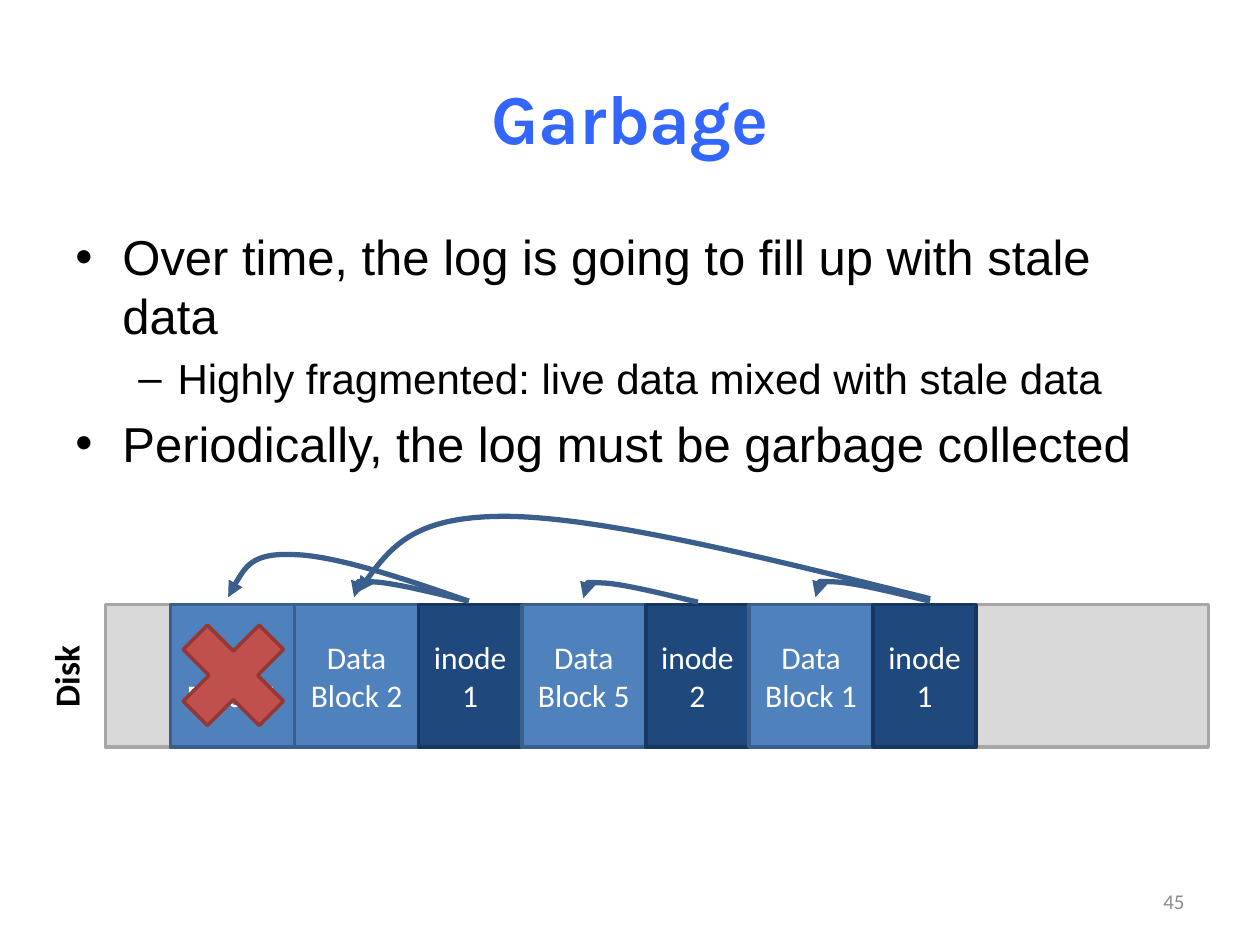
import pptx
import pptx.util
import pptx.dml.color
import pptx.enum.shapes
import pptx.enum.text
import pptx.oxml
import pptx.oxml.ns

Cm = pptx.util.Cm
Pt = pptx.util.Pt
RGB = pptx.dml.color.RGBColor
Kind = pptx.enum.shapes.MSO_SHAPE
Align = pptx.enum.text.PP_ALIGN
Anchor = pptx.enum.text.MSO_ANCHOR
qn = pptx.oxml.ns.qn

BLACK = RGB(0x00, 0x00, 0x00)
WHITE = RGB(0xFF, 0xFF, 0xFF)
TITLE = RGB(0x33, 0x66, 0xFF)
MUTED = RGB(0x8C, 0x8C, 0x8C)
PALE = RGB(0xD9, 0xD9, 0xD9)
GRAY = RGB(0xA6, 0xA6, 0xA6)
BLUE = RGB(0x4F, 0x81, 0xBD)
EDGE = RGB(0x3A, 0x5F, 0x8C)
NAVY = RGB(0x1F, 0x49, 0x7D)
DARK = RGB(0x17, 0x37, 0x5E)
RED = RGB(0xC0, 0x50, 0x4D)
RUST = RGB(0x95, 0x37, 0x35)

deck = pptx.Presentation()
deck.slide_width, deck.slide_height = Cm(25.4), Cm(19.05)
shapes = deck.slides.add_slide(deck.slide_layouts[6]).shapes


def write(shape, text, size=18, font="Calibri", color=WHITE, bold=False,
          align=Align.CENTER, anchor=Anchor.MIDDLE):
    """Fill a shape with text, one paragraph per line, and return them."""
    frame = shape.text_frame
    frame.word_wrap = True
    frame.vertical_anchor = anchor
    frame.text = text
    for para in frame.paragraphs:
        para.alignment = align
        face = para.runs[0].font
        face.size, face.name, face.bold = Pt(size), font, bold
        face.color.rgb = color
    return frame.paragraphs


def draw(kind, box, fill, line):
    """Add a filled preset shape; box is left, top, width, height in cm."""
    shape = shapes.add_shape(kind, *map(Cm, box))
    shape.shadow.inherit = False
    shape.fill.solid()
    shape.fill.fore_color.rgb = fill
    shape.line.color.rgb = line
    shape.line.width = Pt(2)
    return shape


# Title, bullets and page number
title = shapes.add_textbox(Cm(1.27), Cm(0.76), Cm(22.86), Cm(3.18))
write(title, "Garbage", size=40, font="Karla", color=TITLE, bold=True)

points = [
    (0, "Over time, the log is going to fill up with stale data"),
    (1, "Highly fragmented: live data mixed with stale data"),
    (0, "Periodically, the log must be garbage collected"),
]
levels = [(28, "•", 0.95, 0.95), (24, "–", 2.06, 0.79)]
body = shapes.add_textbox(Cm(1.27), Cm(4.45), Cm(22.86), Cm(12.57))
paras = write(body, "\n".join(text for _, text in points), font="Arial",
              color=BLACK, align=Align.LEFT, anchor=Anchor.TOP)
for para, (level, _) in zip(paras, points):
    size, mark, left, hang = levels[level]
    para.level = level
    para.runs[0].font.size = Pt(size)
    para.space_before = Pt(0.2 * size)
    props = para._p.get_or_add_pPr()
    props.set("marL", str(Cm(left)))
    props.set("indent", str(-Cm(hang)))
    font = pptx.oxml.parse_xml(
        f'<a:buFont {pptx.oxml.ns.nsdecls("a")} typeface="Arial"/>')
    props.append(font)
    props.append(props.makeelement(qn("a:buChar"), {"char": mark}))

page = shapes.add_textbox(Cm(18.21), Cm(17.65), Cm(5.92), Cm(1.02))
write(page, "45", size=12, color=MUTED, align=Align.RIGHT)

# Disk with its log of blocks
top, high = 12.19, 2.87
draw(Kind.RECTANGLE, (2.13, top, 22.23, high), PALE, GRAY)
label = shapes.add_textbox(Cm(-0.48), Cm(13.08), Cm(3.63), Cm(1.12))
label.rotation = 270
write(label, "Disk", size=20, color=BLACK, bold=True, anchor=Anchor.TOP)

left = 3.44
for text in ("Data Block 1", "Data Block 2", "inode\n1", "Data Block 5",
             "inode\n2", "Data Block 1", "inode\n1"):
    node = text.startswith("inode")
    wide, fill, line = (2.08, NAVY, DARK) if node else (2.5, BLUE, EDGE)
    write(draw(Kind.RECTANGLE, (left, top, wide, high), fill, line), text)
    left += wide

# Pointers: a start, then two cubic curves as offsets from it
short = [(-0.79, -0.19), (-1.6, -0.39), (-1.98, -0.39),
         (-2.36, -0.41), (-2.34, -0.23), (-2.31, -0.08)]
stale = [(-1.4, -0.49), (-2.77, -0.94), (-3.58, -0.94),
         (-4.37, -0.97), (-4.62, -0.54), (-4.85, -0.08)]
far = [(-3.28, -0.82), (-6.56, -1.63), (-8.49, -1.66),
       (-10.39, -1.68), (-10.98, -0.92), (-11.54, -0.13)]
for x, y, bends in ((9.45, 12.12, short), (14.07, 12.14, short),
                    (9.45, 12.12, stale), (18.75, 12.12, short),
                    (18.75, 12.07, far)):
    pen = shapes.build_freeform(Cm(x), Cm(y))
    pen.add_line_segments([(Cm(x + dx), Cm(y + dy)) for dx, dy in bends],
                          close=False)
    arc = pen.convert_to_shape()
    arc.shadow.inherit = False
    arc.fill.background()
    arc.line.color.rgb = EDGE
    arc.line.width = Pt(3)
    steps = list(arc._element.iter(qn("a:lnTo")))
    for i in range(0, len(steps), 3):
        curve = steps[i].makeelement(qn("a:cubicBezTo"), {})
        steps[i].addprevious(curve)
        for step in steps[i:i + 3]:
            curve.append(step[0])
            step.getparent().remove(step)
    ln = arc.line._get_or_add_ln()
    ln.append(ln.makeelement(qn("a:tailEnd"), {"type": "triangle"}))

# Stale block crossed out
draw(Kind.MATH_MULTIPLY, (3.23, 12.14, 2.95, 2.95), RED, RUST)

deck.save("out.pptx")
